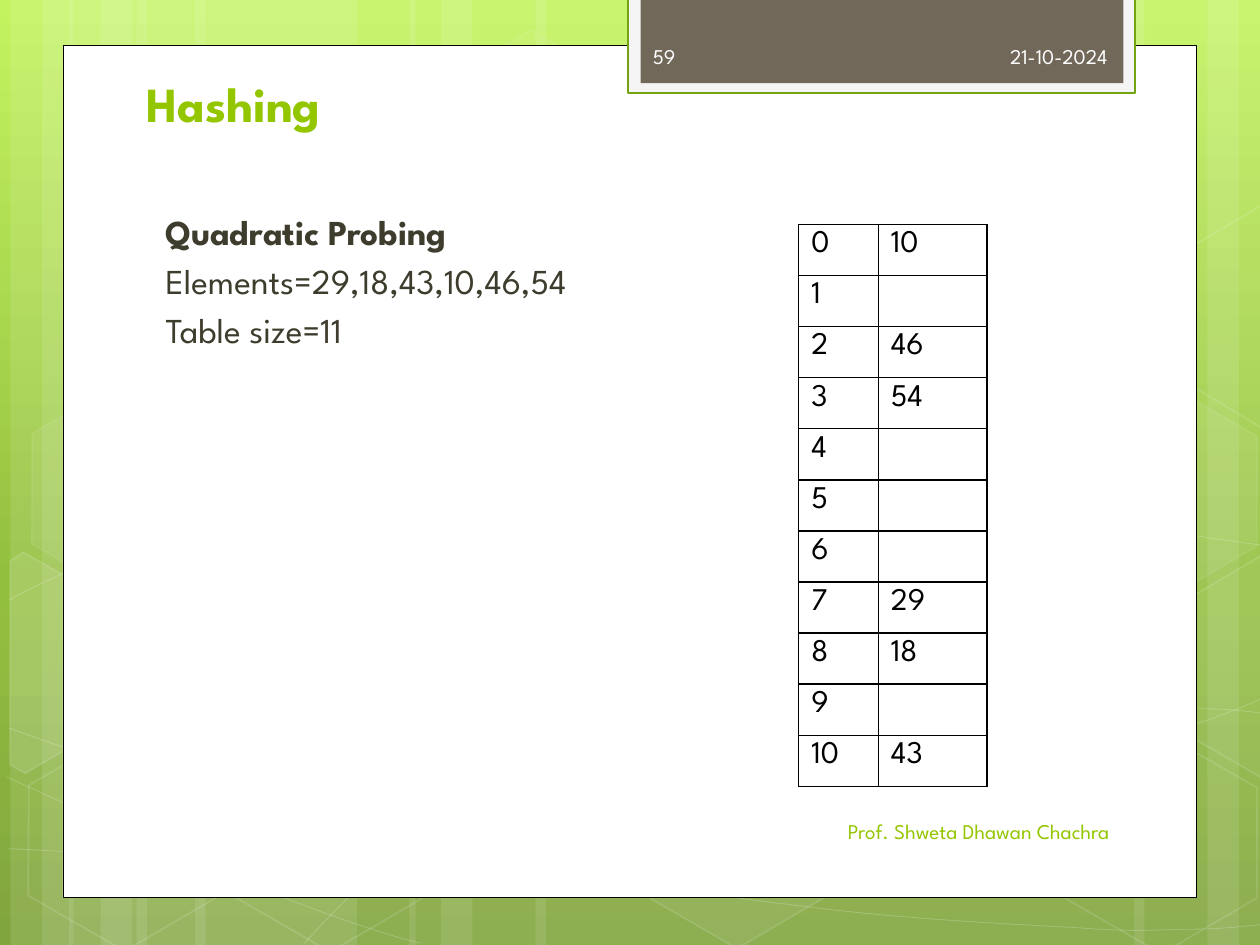
import copy
import math
import pptx
import pptx.dml.color
import pptx.enum.shapes
import pptx.enum.text
import pptx.oxml
import pptx.oxml.ns
import pptx.util

Pt = pptx.util.Pt
RGBColor = pptx.dml.color.RGBColor
MSO_SHAPE = pptx.enum.shapes.MSO_SHAPE
PP_ALIGN = pptx.enum.text.PP_ALIGN
MSO_ANCHOR = pptx.enum.text.MSO_ANCHOR
qn = pptx.oxml.ns.qn
NAMESPACE = pptx.oxml.ns.nsdecls("a")

WHITE = RGBColor(0xFF, 0xFF, 0xFF)
BLACK = RGBColor(0, 0, 0)
GREEN = RGBColor(0x94, 0xC6, 0x00)
DARK_GREEN = RGBColor(0x74, 0xA5, 0x10)
PALE_GRAY = RGBColor(0xF5, 0xF5, 0xF5)
BROWN = RGBColor(0x71, 0x68, 0x5A)
DARK_TEXT = RGBColor(0x3E, 0x3D, 0x2D)
OFF_WHITE = RGBColor(0xFE, 0xFE, 0xFE)
BACKGROUND_STOPS = [(0, RGBColor(0xC3, 0xF3, 0x5F)), (0.62, RGBColor(0x93, 0xBF, 0x3F)),
                    (1, RGBColor(0x81, 0xA5, 0x3E))]
FONT = "League Spartan"


def paint(shape, fill=None, fill_alpha=100, line=None, line_width=1, line_alpha=100):
    """Set fill and line, with opacity in percent."""
    shape.shadow.inherit = False
    for format_, color in ((shape.fill, fill), (shape.line.fill, line)):
        if color is None:
            format_.background()
        else:
            format_.solid()
            format_.fore_color.rgb = color
    if line is not None:
        shape.line.width = Pt(line_width)
    properties = shape.element.spPr
    for route, alpha in (("a:solidFill", fill_alpha), ("a:ln/a:solidFill", line_alpha)):
        solid = properties.find("/".join(qn(tag) for tag in route.split("/")))
        if solid is not None and alpha < 100:
            solid[0].append(pptx.oxml.parse_xml(f'<a:alpha {NAMESPACE} val="{alpha * 1000}"/>'))


def add_text(left, top, width, height, lines, size, color,
             align=PP_ALIGN.LEFT, anchor=MSO_ANCHOR.MIDDLE):
    """Add a text box; lines holds (text, bold) pairs."""
    box = slide.shapes.add_textbox(Pt(left), Pt(top), Pt(width), Pt(height))
    frame = box.text_frame
    frame.word_wrap = True
    frame.vertical_anchor = anchor
    for number, (text, bold) in enumerate(lines):
        paragraph = frame.add_paragraph() if number else frame.paragraphs[0]
        paragraph.text = text
        paragraph.alignment = align
        paragraph.font.name = FONT
        paragraph.font.size = Pt(size)
        paragraph.font.bold = bold
        paragraph.font.color.rgb = color
    return frame


presentation = pptx.Presentation()
presentation.slide_width, presentation.slide_height = Pt(720), Pt(540)
slide = presentation.slides.add_slide(presentation.slide_layouts[6])

# Background gradient, light at the top
background = slide.background.fill
background.gradient()
background.gradient_angle = 270
stop_list = slide.element.find(".//" + qn("a:gsLst"))
stop_list.insert(1, copy.deepcopy(stop_list[0]))
for stop, (position, color) in zip(background.gradient_stops, BACKGROUND_STOPS):
    stop.position = position
    stop.color.rgb = color

# Translucent vertical bars
bars = [(78, 126), (6, 36), (24, 60), (111.5, 126), (39.5, 36), (57.5, 60),
        (528, 126), (690, 36), (648, 60), (306, 222), (234, 36), (252, 60)]
for left, width in bars:
    bar = slide.shapes.add_shape(MSO_SHAPE.RECTANGLE, Pt(left), 0, Pt(width), Pt(540))
    paint(bar, WHITE, 10)

# Thin curves: a start point, then three Bezier points for each segment
curves = [
    [(5, 485), (44, 487), (83, 489), (137, 488), (191, 487), (258, 486), (330, 479),
     (402, 472), (504, 458), (570, 444), (636, 431), (703, 409), (725, 397)],
    [(5, 343), (26, 332), (47, 321), (87, 310), (128, 300), (186, 284), (250, 279),
     (314, 274), (392, 273), (471, 279), (550, 284), (682, 307), (725, 312)],
    [(4, 444), (91, 484), (178, 523), (240, 539)],
    [(5, 416), (27, 424), (50, 432), (92, 444), (134, 454), (197, 472), (257, 485),
     (317, 497), (392, 510), (452, 517), (512, 525), (576, 528), (614, 530),
     (652, 533), (662, 531), (680, 531), (699, 531), (712, 529), (725, 528)],
    [(174, 539), (187, 525), (200, 510), (217, 498), (235, 485), (259, 470), (279, 460),
     (300, 450), (312, 446), (338, 438), (364, 431), (413, 421), (438, 416),
     (464, 411), (467, 411), (490, 410), (512, 408), (547, 405), (572, 405),
     (597, 404), (638, 405), (686, 405), (699, 405), (711, 406), (724, 408)],
]
for points in curves:
    builder = slide.shapes.build_freeform(*points[0], scale=Pt(1))
    builder.add_line_segments(points[1:], close=False)
    curve = builder.convert_to_shape()
    segments = list(curve.element.iter(qn("a:lnTo")))
    for first in range(0, len(segments), 3):
        bezier = pptx.oxml.parse_xml(f"<a:cubicBezTo {NAMESPACE}/>")
        segments[first].addprevious(bezier)
        for segment in segments[first:first + 3]:
            bezier.append(segment[0])
            segment.getparent().remove(segment)
    paint(curve, line=WHITE, line_width=0.5, line_alpha=20)

# Hexagons: left, top, fill opacity, line opacity
TILT = 30
hexagons = [(240.5, 26, 4, 8), (358, 424, 6, 12), (8, 425.5, 0, 12), (10, 224.5, 7, 8),
            (125.5, 426, 0, 12), (600.5, 427, 0, 12), (600.5, 226, 7, 8)]
for left, top, fill_alpha, line_alpha in hexagons:
    hexagon = slide.shapes.add_shape(MSO_SHAPE.HEXAGON, Pt(left), Pt(top), Pt(126), Pt(109.5))
    hexagon.adjustments[0] = 0.285
    hexagon.rotation = TILT
    paint(hexagon, WHITE if fill_alpha else None, fill_alpha, WHITE, 1, line_alpha)

# Hexagons cut off by the slide edges: center, fill opacity, corners as they show
cut_hexagons = [
    ((25.9, 385.2), 10, [(5.8, 320.4), (13.7, 315.4), (69.1, 347), (68.4, 410.4),
                         (14.4, 442.1), (5.8, 437)]),
    ((709.2, 374.4), 4, [(666.7, 349.2), (720.7, 317.5), (726.5, 321.1), (726.5, 441.4),
                         (721.4, 444.2), (666.7, 412.6)]),
    ((709.2, 173.5), 0, [(666.7, 149), (720.7, 117.4), (727.2, 121), (726.5, 241.2),
                         (721.4, 244.1), (666.7, 212.4)]),
]
cosine, sine = math.cos(math.radians(TILT)), math.sin(math.radians(TILT))
for (center_x, center_y), fill_alpha, corners in cut_hexagons:
    upright = [(center_x + (x - center_x) * cosine + (y - center_y) * sine,
                center_y - (x - center_x) * sine + (y - center_y) * cosine) for x, y in corners]
    builder = slide.shapes.build_freeform(*upright[0], scale=Pt(1))
    builder.add_line_segments(upright[1:], close=True)
    hexagon = builder.convert_to_shape()
    hexagon.rotation = TILT
    paint(hexagon, WHITE if fill_alpha else None, fill_alpha, WHITE, 1, 12)

# White panel and the header tab
panels = [(36, 26, 648, 487, WHITE, BLACK, 0.5),
          (359, -1.5, 289.5, 54.5, PALE_GRAY, DARK_GREEN, 1.25),
          (366, -1.5, 276, 49, BROWN, None, 0)]
for left, top, width, height, fill, line, line_width in panels:
    panel = slide.shapes.add_shape(MSO_SHAPE.RECTANGLE, Pt(left), Pt(top), Pt(width), Pt(height))
    paint(panel, fill, line=line, line_width=line_width)

# Title and body
add_text(76.6, 37.4, 553, 41.8, [("Hashing", True)], 28, GREEN, anchor=MSO_ANCHOR.BOTTOM)
body = add_text(82.2, 116.6, 533.5, 342,
                [("Quadratic Probing", True), ("Elements=29,18,43,10,46,54", False),
                 ("Table size=11", False)], 20, DARK_TEXT, anchor=MSO_ANCHOR.TOP)
body.margin_left = Pt(12.4)
for paragraph in body.paragraphs[1:]:
    paragraph.space_before = Pt(4)

# Date, footer and slide number
add_text(472, 17.6, 168, 28.8, [("21-10-2024", False)], 12, OFF_WHITE, PP_ALIGN.RIGHT)
add_text(365.2, 460.5, 276, 28.8, [("Prof. Shweta Dhawan Chachra", False)], 12, GREEN,
         PP_ALIGN.RIGHT)
add_text(366, 17.6, 105, 28.8, [("59", False)], 12, OFF_WHITE)

# Hash table: slot index and stored element
slots = ["10", "", "46", "54", "", "", "", "29", "18", "", "43"]
ROW_HEIGHT = 29.2
hash_table = slide.shapes.add_table(len(slots), 2, Pt(456.4), Pt(128.2), Pt(107.5),
                                    Pt(ROW_HEIGHT * len(slots))).table
hash_table.first_row = hash_table.horz_banding = False
hash_table.columns[0].width, hash_table.columns[1].width = Pt(45.5), Pt(62)
for index, element in enumerate(slots):
    hash_table.rows[index].height = Pt(ROW_HEIGHT)
    for column, text in enumerate((str(index), element)):
        cell = hash_table.cell(index, column)
        paragraph = cell.text_frame.paragraphs[0]
        paragraph.text = text
        paragraph.font.name = FONT
        paragraph.font.size = Pt(18)
        paragraph.font.color.rgb = BLACK
        cell_properties = cell._tc.get_or_add_tcPr()
        for side in ("lnL", "lnR", "lnT", "lnB"):
            cell_properties.append(pptx.oxml.parse_xml(
                f'<a:{side} {NAMESPACE} w="{Pt(1)}"><a:solidFill>'
                f'<a:srgbClr val="{BLACK}"/></a:solidFill></a:{side}>'))
        cell.fill.background()

presentation.save("out.pptx")
